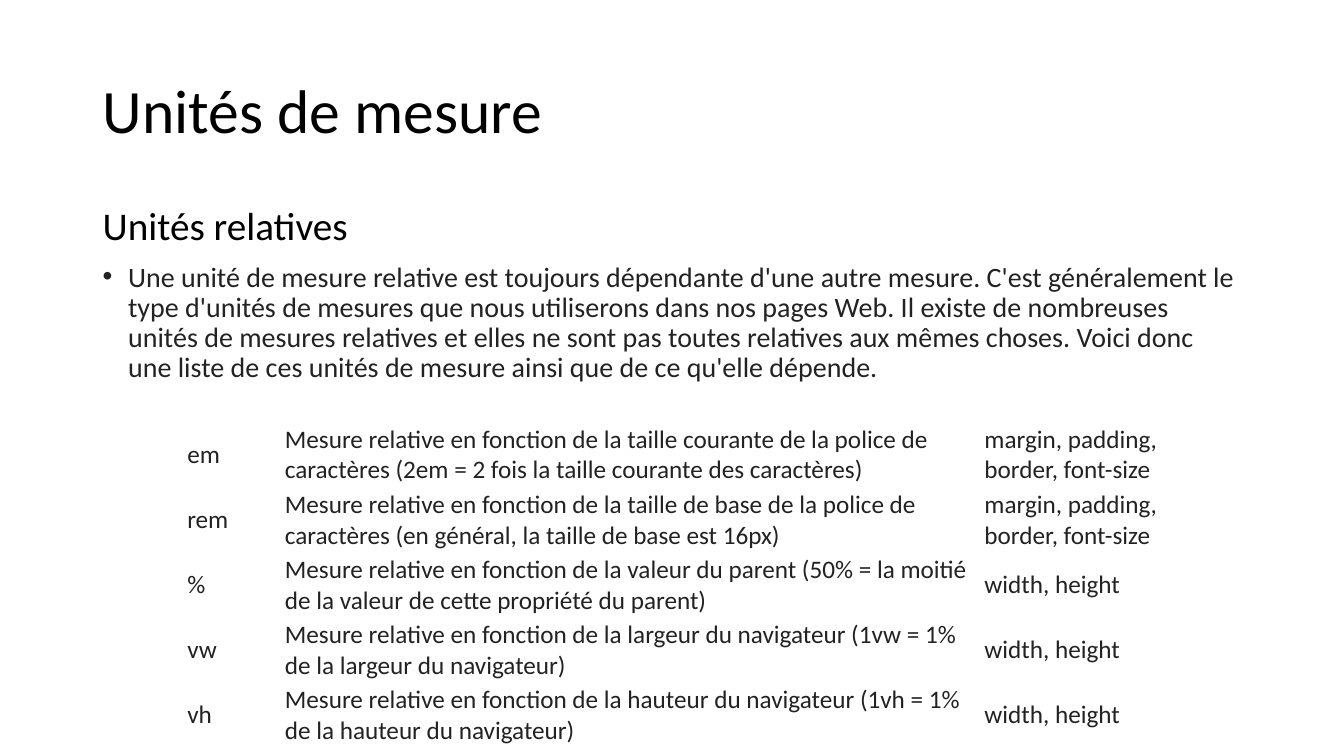
from dataclasses import dataclass

import pptx
import pptx.dml.color
import pptx.enum.text
import pptx.oxml
import pptx.oxml.ns
import pptx.util
from pptx.util import Cm, Pt

FONT = "Calibri"
BLACK = "000000"
DARK = "222222"
LEFT, WIDTH = 2.34, 29.21
COLUMN_WIDTHS = (2.46, 17.63, 6.38)
ROW_HEIGHT = 1.64
MIDDLE = pptx.enum.text.MSO_ANCHOR.MIDDLE


@dataclass
class Unit:
    name: str
    meaning: str
    properties: str


UNITS = [
    Unit("em", "Mesure relative en fonction de la taille courante de la police de caractères "
         "(2em = 2 fois la taille courante des caractères)", "margin, padding, border, font-size"),
    Unit("rem", "Mesure relative en fonction de la taille de base de la police de caractères "
         "(en général, la taille de base est 16px)", "margin, padding, border, font-size"),
    Unit("%", "Mesure relative en fonction de la valeur du parent "
         "(50% = la moitié de la valeur de cette propriété du parent)", "width, height"),
    Unit("vw", "Mesure relative en fonction de la largeur du navigateur "
         "(1vw = 1% de la largeur du navigateur)", "width, height"),
    Unit("vh", "Mesure relative en fonction de la hauteur du navigateur "
         "(1vh = 1% de la hauteur du navigateur)", "width, height"),
]
INTRO = (
    "Une unité de mesure relative est toujours dépendante d'une autre mesure. "
    "C'est généralement le type d'unités de mesures que nous utiliserons dans nos pages Web. "
    "Il existe de nombreuses unités de mesures relatives et elles ne sont pas toutes relatives "
    "aux mêmes choses. Voici donc une liste de ces unités de mesure ainsi que de ce qu'elle dépende."
)


def set_text(p, text: str, size: float, color: str) -> None:
    p.text = text
    p.alignment = pptx.enum.text.PP_ALIGN.LEFT
    p.font.name = FONT
    p.font.size = Pt(size)
    p.font.bold = False
    p.font.color.rgb = pptx.dml.color.RGBColor.from_string(color)


def add_bullet(p, indent: float) -> None:
    pPr = p._p.get_or_add_pPr()
    pPr.set("marL", str(Cm(indent)))
    pPr.set("indent", str(-Cm(indent)))
    for tag, key, value in (("a:buFont", "typeface", "Arial"), ("a:buChar", "char", "•")):
        bullet = pptx.oxml.parse_xml(f'<{tag} {pptx.oxml.ns.nsdecls("a")} {key}="{value}"/>')
        pPr.insert_element_before(bullet, "a:tabLst", "a:defRPr", "a:extLst")


def add_title(s) -> None:
    title = s.shapes.title
    title.left, title.top, title.width, title.height = Cm(LEFT), Cm(1.02), Cm(WIDTH), Cm(3.68)
    title.text_frame.vertical_anchor = MIDDLE
    p = title.text_frame.paragraphs[0]
    set_text(p, "Unités de mesure", 44, BLACK)
    p.line_spacing = 0.9


def add_body(s) -> None:
    sp = s.shapes.add_textbox(Cm(LEFT), Cm(5.08), Cm(WIDTH), Cm(12.09))
    tf = sp.text_frame
    tf.word_wrap = True
    heading, intro = tf.paragraphs[0], tf.add_paragraph()
    set_text(heading, "Unités relatives", 28, BLACK)
    set_text(intro, INTRO, 20, DARK)
    for p in (heading, intro):
        p.line_spacing = 0.9
        p.space_before = Pt(10)
    add_bullet(intro, 0.64)


def add_units_table(s, units: list[Unit]) -> None:
    frame = s.shapes.add_table(len(units), len(COLUMN_WIDTHS), Cm(4.62), Cm(10.64),
                               Cm(sum(COLUMN_WIDTHS)), Cm(ROW_HEIGHT * len(units)))
    table = frame.table
    table.first_row = table.horz_banding = False
    for column, width in zip(table.columns, COLUMN_WIDTHS):
        column.width = Cm(width)
    for row, unit in zip(table.rows, units):
        row.height = Cm(ROW_HEIGHT)
        for cell, text in zip(row.cells, (unit.name, unit.meaning, unit.properties)):
            cell.fill.background()
            cell.vertical_anchor = MIDDLE
            cell.margin_left = cell.margin_right = Cm(0.1)
            cell.margin_top = cell.margin_bottom = Cm(0.05)
            set_text(cell.text_frame.paragraphs[0], text, 18, DARK)


def main() -> None:
    prs = pptx.Presentation()
    prs.slide_width, prs.slide_height = Cm(33.87), Cm(19.05)
    s = prs.slides.add_slide(prs.slide_layouts[5])

    # Title and introduction
    add_title(s)
    add_body(s)

    # Relative units
    add_units_table(s, UNITS)

    prs.save("out.pptx")


if __name__ == "__main__":
    main()
